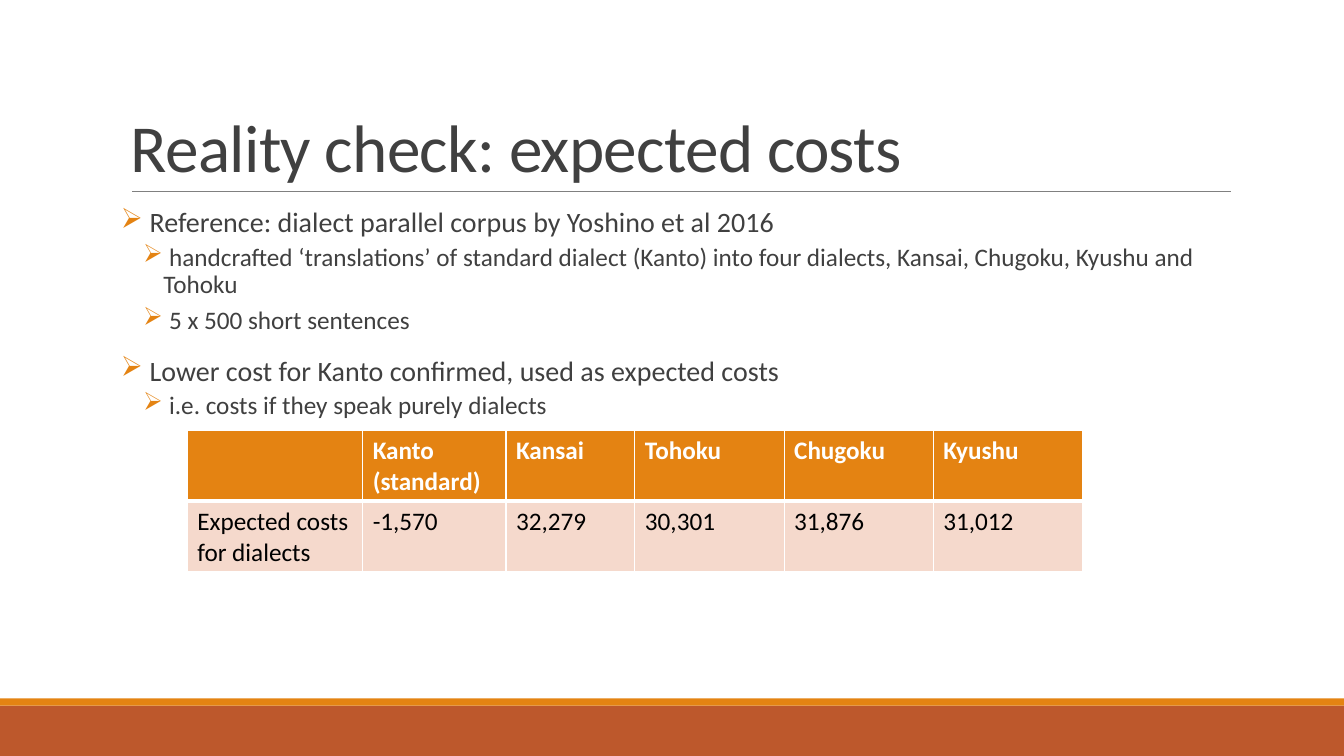
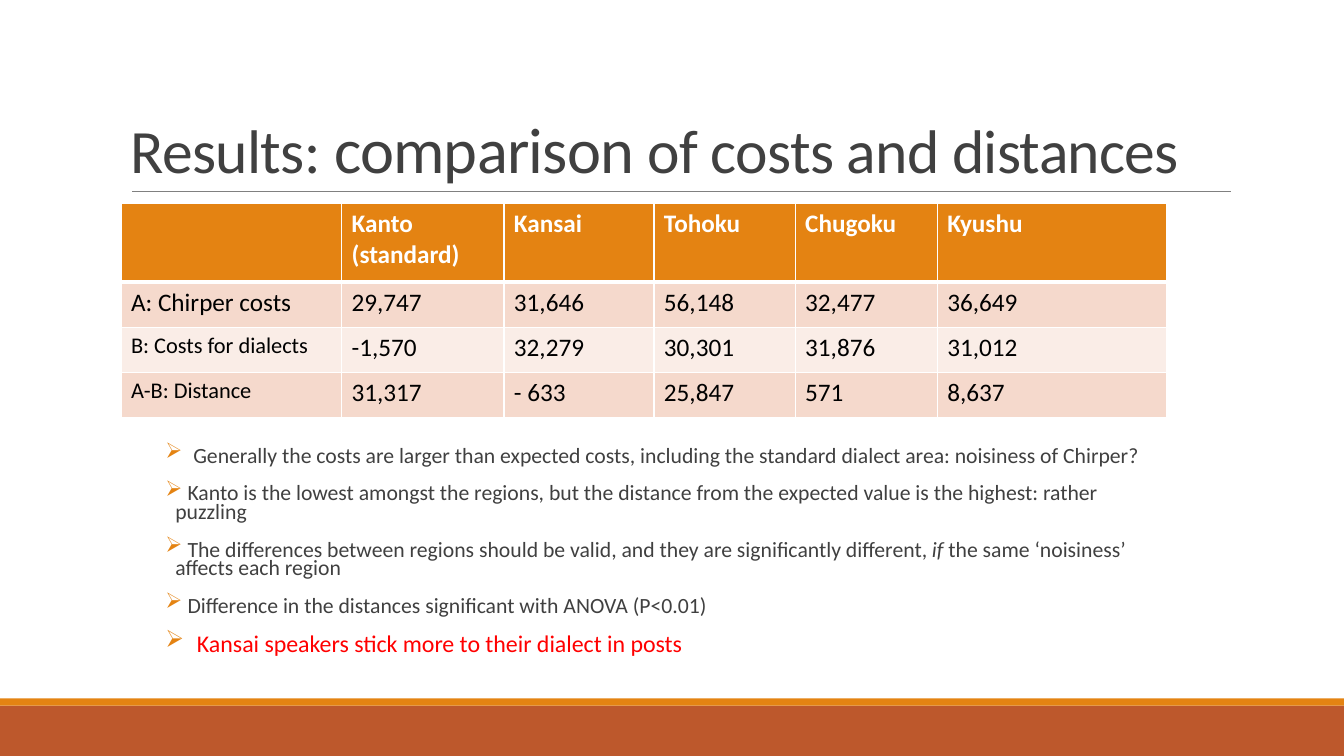
"""Build two slides on dialect costs: a reality check and the results."""
from dataclasses import dataclass

from lxml.etree import SubElement
from pptx import Presentation
from pptx.dml.color import RGBColor
from pptx.enum.shapes import MSO_CONNECTOR, MSO_SHAPE
from pptx.enum.text import MSO_ANCHOR
from pptx.oxml.ns import qn
from pptx.slide import Slide
from pptx.table import _Cell
from pptx.text.text import TextFrame, _Paragraph
from pptx.util import Cm, Pt

COLORS = {
    "rust": "BD582C",
    "orange": "E48312",
    "rule": "808080",
    "text": "404040",
    "black": "000000",
    "white": "FFFFFF",
    "red": "FF0000",
    "band_dark": "F5D9CC",
    "band_light": "FAEDE7",
}
FONT = "Calibri"
PAGE_WIDTH, PAGE_HEIGHT = 33.87, 19.05
REGIONS = ["", "Kanto (standard)", "Kansai", "Tohoku", "Chugoku", "Kyushu"]
DIALECT_COSTS = ["-1,570", "32,279", "30,301", "31,876", "31,012"]


@dataclass(frozen=True)
class Area:
    left: float
    top: float
    width: float
    height: float

    def lengths(self) -> tuple[Cm, Cm, Cm, Cm]:
        return Cm(self.left), Cm(self.top), Cm(self.width), Cm(self.height)


@dataclass(frozen=True)
class Band:
    area: Area
    color: str


@dataclass(frozen=True)
class Span:
    text: str
    size: float
    color: str = "text"
    italic: bool = False


@dataclass(frozen=True)
class Level:
    margin: float
    hang: float
    before: float
    after: float


@dataclass(frozen=True)
class Bullet:
    spans: tuple[Span, ...]
    level: Level


@dataclass(frozen=True)
class Grid:
    left: float
    top: float
    columns: list[float]
    rows: list[float]
    cells: list[list[str]]
    label_sizes: list[float]


BANDS = [
    Band(Area(0, 17.78, PAGE_WIDTH, 1.27), "rust"),
    Band(Area(0, 17.6, PAGE_WIDTH, 0.18), "orange"),
]
TITLE_AREA = Area(3.05, 0.79, 27.94, 4.04)
MAIN = Level(0.25, 0.25, 12, 2)
SUB = Level(1.07, 0.51, 2, 4)


def rgb(name: str) -> RGBColor:
    return RGBColor.from_string(COLORS[name])


def add_span(para: _Paragraph, text: str, *, size: float, color: str = "text",
             bold: bool = False, italic: bool = False, tracking: int = 0) -> None:
    span = para.add_run()
    span.text = text
    font = span.font
    font.name, font.size = FONT, Pt(size)
    font.bold, font.italic = bold, italic
    font.color.rgb = rgb(color)
    if tracking:
        font._element.set("spc", str(tracking))


def add_text_box(page: Slide, area: Area) -> TextFrame:
    frame = page.shapes.add_textbox(*area.lengths()).text_frame
    frame.word_wrap = True
    return frame


def add_frame(page: Slide, title: list[Span]) -> None:
    for band in BANDS:
        shape = page.shapes.add_shape(MSO_SHAPE.RECTANGLE, *band.area.lengths())
        shape.shadow.inherit = False
        shape.fill.solid()
        shape.fill.fore_color.rgb = rgb(band.color)
        shape.line.fill.background()
    rule = page.shapes.add_connector(
        MSO_CONNECTOR.STRAIGHT, Cm(3.33), Cm(4.83), Cm(31.01), Cm(4.83))
    rule.line.color.rgb = rgb("rule")
    rule.line.width = Pt(0.5)
    SubElement(rule._element.spPr, qn("a:effectLst"))

    frame = add_text_box(page, TITLE_AREA)
    frame.vertical_anchor = MSO_ANCHOR.BOTTOM
    para = frame.paragraphs[0]
    para.line_spacing = 0.85
    for span in title:
        add_span(para, span.text, size=span.size, color=span.color, tracking=-50)


def add_bullets(page: Slide, area: Area, bullets: list[Bullet], line_spacing: float) -> None:
    frame = add_text_box(page, area)
    frame.margin_left = frame.margin_right = 0
    for index, bullet in enumerate(bullets):
        para = frame.add_paragraph() if index else frame.paragraphs[0]
        level = bullet.level
        properties = para._p.get_or_add_pPr()
        properties.set("marL", str(Cm(level.margin)))
        properties.set("indent", str(-Cm(level.hang)))
        tint = SubElement(properties, qn("a:buClr"))
        SubElement(tint, qn("a:srgbClr"), val=COLORS["orange"])
        SubElement(properties, qn("a:buChar"), char="➢")
        para.line_spacing = line_spacing
        para.space_before = Pt(level.before if index else 0)
        para.space_after = Pt(level.after)
        for span in bullet.spans:
            add_span(para, span.text, size=span.size, color=span.color, italic=span.italic)


def style_cell(cell: _Cell, fill: str, top: float, bottom: float) -> None:
    properties = cell._tc.get_or_add_tcPr()
    for side, width in {"L": 1, "R": 1, "T": top, "B": bottom}.items():
        border = SubElement(properties, qn(f"a:ln{side}"), w=str(Pt(width)))
        paint = SubElement(border, qn("a:solidFill"))
        SubElement(paint, qn("a:srgbClr"), val=COLORS["white"])
    cell.fill.solid()
    cell.fill.fore_color.rgb = rgb(fill)


def add_grid(page: Slide, grid: Grid) -> None:
    area = Area(grid.left, grid.top, sum(grid.columns), sum(grid.rows))
    table = page.shapes.add_table(
        len(grid.rows), len(grid.columns), *area.lengths()).table
    for column, width in zip(table.columns, grid.columns):
        column.width = Cm(width)
    for row_index, (row, height) in enumerate(zip(table.rows, grid.rows)):
        row.height = Cm(height)
        header = row_index == 0
        fill = "orange" if header else "band_dark" if row_index % 2 else "band_light"
        for column_index, text in enumerate(grid.cells[row_index]):
            cell = table.cell(row_index, column_index)
            style_cell(cell, fill, 3 if row_index == 1 else 1, 3 if header else 1)
            if text:
                size = 18 if column_index else grid.label_sizes[row_index]
                add_span(cell.text_frame.paragraphs[0], text, size=size,
                         color="white" if header else "black", bold=header)


def add_reality_check(page: Slide) -> None:
    add_frame(page, [Span("Reality check: expected costs", 48)])
    lines = [
        (MAIN, " Reference: dialect parallel corpus by Yoshino et al 2016"),
        (SUB, " handcrafted ‘translations’ of standard dialect (Kanto) into four dialects, "
              "Kansai, Chugoku, Kyushu and Tohoku"),
        (SUB, " 5 x 500 short sentences"),
        (MAIN, " Lower cost for Kanto confirmed, used as expected costs"),
        (SUB, " i.e. costs if they speak purely dialects"),
    ]
    bullets = [Bullet((Span(text, 20 if level is MAIN else 18),), level)
               for level, text in lines]
    add_bullets(page, Area(3.05, 5.13, 27.94, 11.3), bullets, 0.9)
    add_grid(page, Grid(
        4.72, 10.85, [4.42, 3.61, 3.25] + [3.76] * 3, [1.78] * 2,
        [REGIONS, ["Expected costs for dialects", *DIALECT_COSTS]], [18, 18]))


def add_results(page: Slide) -> None:
    add_frame(page, [Span("Results: ", 44), Span("comparison", 46),
                     Span(" of costs and distances", 44)])
    add_grid(page, Grid(
        3.05, 5.13, [5.56, 4.09, 3.78, 3.56, 3.58, 5.79], [1.98] + [1.14] * 3,
        [
            REGIONS,
            ["A: Chirper costs", "29,747", "31,646", "56,148", "32,477", "36,649"],
            ["B: Costs for dialects", *DIALECT_COSTS],
            ["A-B: Distance", "31,317", "- 633", "25,847", "571", "8,637"],
        ],
        [18, 18, 16, 16]))
    size = 15.5
    bullets = [
        Bullet((Span(" Generally the costs are larger than expected costs, including "
                     "the standard dialect area: noisiness of Chirper?", size),),
               Level(0.58, 0.58, 12, 2)),
        Bullet((Span(" Kanto is the lowest amongst the regions, but the distance from "
                     "the expected value is the highest: rather puzzling", size),), MAIN),
        Bullet((Span(" The differences between regions should be valid, and they are "
                     "significantly different, ", size),
                Span("if", size, italic=True),
                Span(" the same ‘noisiness’ affects each region", size)), MAIN),
        Bullet((Span(" Difference in the distances significant with ANOVA (P<0.01)",
                     size),), MAIN),
        Bullet((Span(" Kansai speakers stick more to their dialect in posts", 17.1, "red"),),
               Level(0.66, 0.66, 12, 2)),
    ]
    add_bullets(page, Area(4.17, 11.18, 25.27, 5.77), bullets, 0.7)


def main() -> None:
    deck = Presentation()
    deck.slide_width, deck.slide_height = Cm(PAGE_WIDTH), Cm(PAGE_HEIGHT)
    for build in (add_reality_check, add_results):
        build(deck.slides.add_slide(deck.slide_layouts[6]))
    deck.save("out.pptx")


if __name__ == "__main__":
    main()
